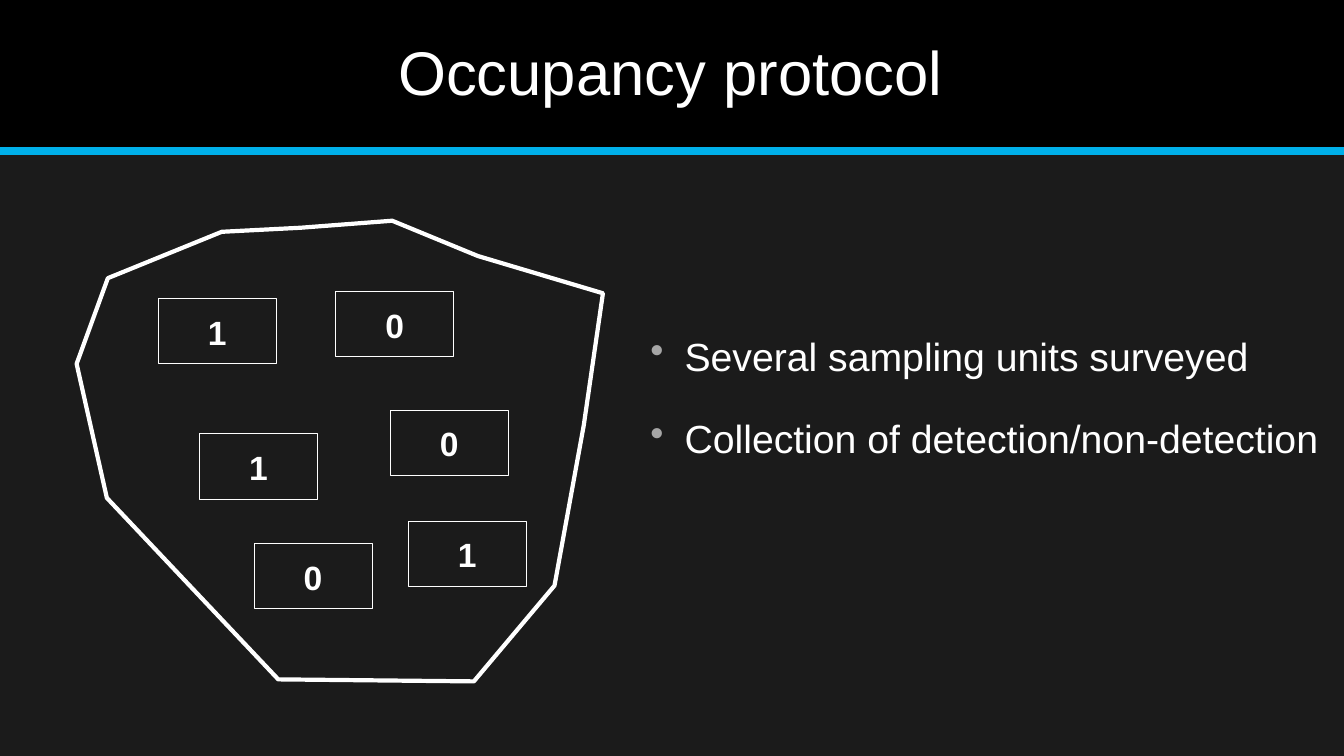
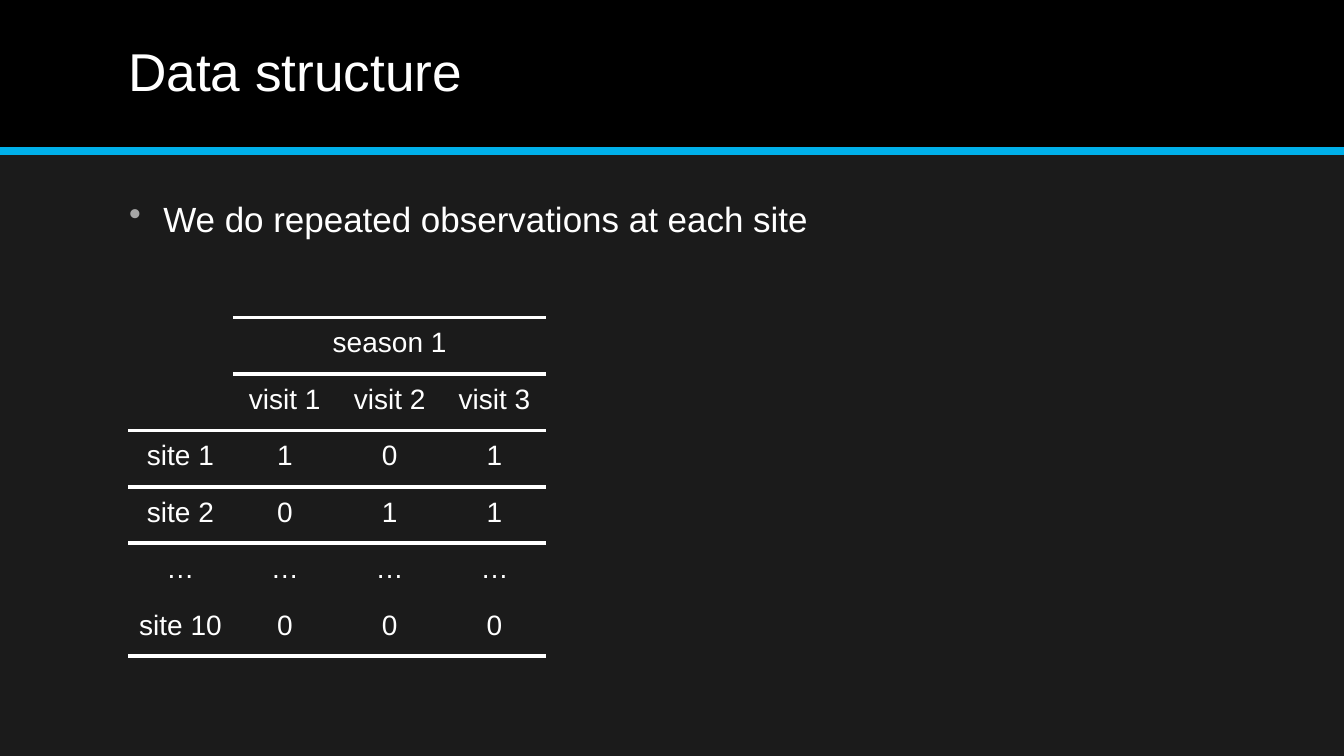
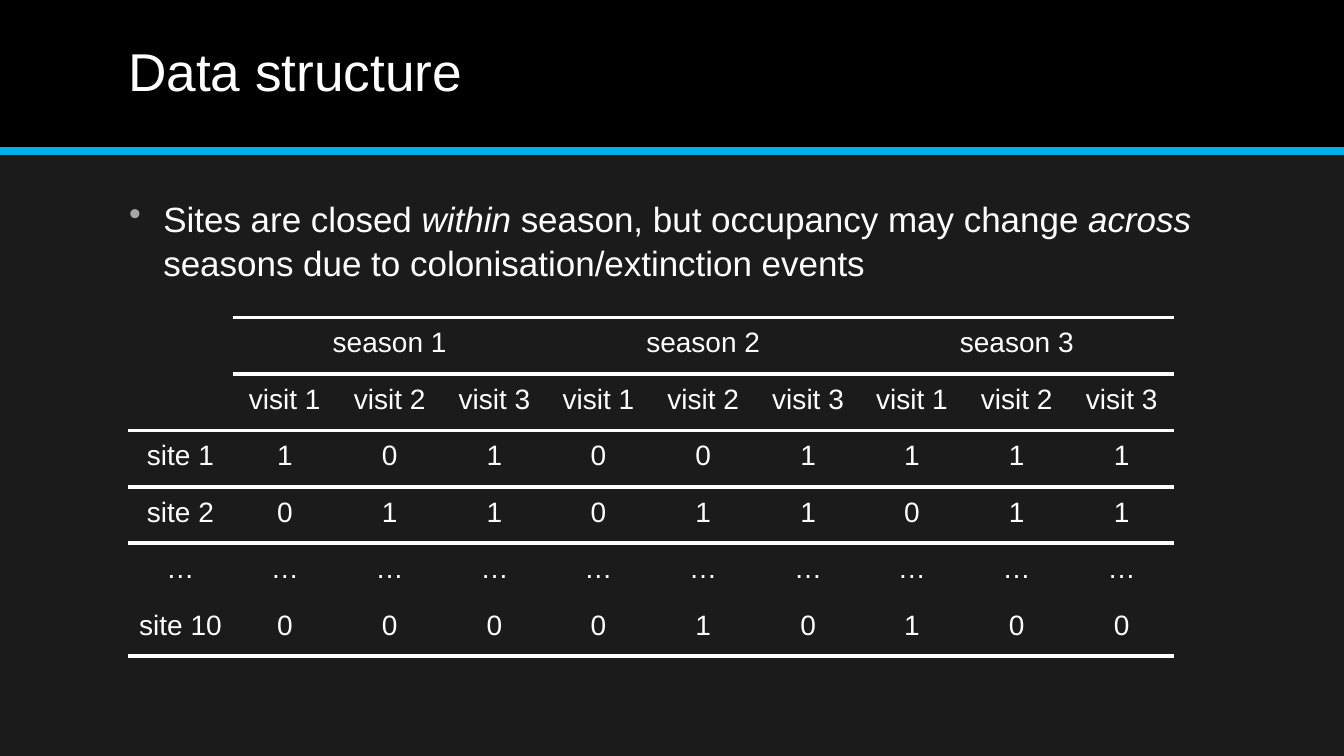
import pptx
import pptx.dml.color
import pptx.enum.shapes
import pptx.enum.text
import pptx.oxml
import pptx.oxml.ns
import pptx.util
from pptx.util import Inches

DRAWING_NS = pptx.oxml.ns.nsdecls("a")
PLAIN_TABLE_STYLE = "{2D5ABB26-0587-4C30-8999-92F81FD0307C}"


def colour(hex_code):
    return pptx.dml.color.RGBColor.from_string(hex_code)


def element(markup):
    tag, rest = markup.split(" ", 1)
    return pptx.oxml.parse_xml(f"<{tag} {DRAWING_NS} {rest}")


class Deck:
    FONT = "Arial"
    PAPER = "1B1B1B"
    BAND = "000000"
    ACCENT = "00B0EA"
    INK = "FFFFFF"
    BULLET = "A6A6A6"
    WIDTH, HEIGHT = 13.33, 7.5

    def __init__(self):
        self.show = pptx.Presentation()
        self.show.slide_width = Inches(self.WIDTH)
        self.show.slide_height = Inches(self.HEIGHT)
        self.paint(self.show.slide_master.background, self.PAPER)
        self.slide = None

    def paint(self, target, hex_code):
        target.fill.solid()
        target.fill.fore_color.rgb = colour(hex_code)

    def stroke(self, target, hex_code, points):
        target.line.color.rgb = colour(hex_code)
        target.line.width = pptx.util.Pt(points)

    def new_slide(self, title, left, top, width, height, size):
        self.slide = self.show.slides.add_slide(self.show.slide_layouts[6])
        band = self.rectangle(0, 0, self.WIDTH, 1.46, self.BAND)
        band.line.fill.background()
        rule = self.slide.shapes.add_connector(
            pptx.enum.shapes.MSO_CONNECTOR.STRAIGHT,
            0, Inches(1.5), Inches(self.WIDTH), Inches(1.5))
        self.stroke(rule, self.ACCENT, 6)
        rule._element.spPr.append(element("a:effectLst />"))
        heading = self.text_box(left, top, width, height)
        heading.vertical_anchor = pptx.enum.text.MSO_ANCHOR.MIDDLE
        self.run(heading.paragraphs[0], title, size)

    def rectangle(self, left, top, width, height, fill):
        shape = self.slide.shapes.add_shape(
            pptx.enum.shapes.MSO_SHAPE.RECTANGLE,
            Inches(left), Inches(top), Inches(width), Inches(height))
        shape.shadow.inherit = False
        self.paint(shape, fill)
        return shape

    def margins(self, holder, top, left=0, right=0):
        holder.margin_left = Inches(left)
        holder.margin_right = Inches(right)
        holder.margin_top = Inches(top)
        holder.margin_bottom = 0

    def text_box(self, left, top, width, height):
        frame = self.slide.shapes.add_textbox(
            Inches(left), Inches(top), Inches(width), Inches(height)).text_frame
        frame.word_wrap = True
        self.margins(frame, 0.03)
        frame.paragraphs[0].space_before = pptx.util.Pt(1)
        return frame

    def run(self, paragraph, text, size, bold=False, italic=False):
        piece = paragraph.add_run()
        piece.text = text
        piece.font.name = self.FONT
        piece.font.size = pptx.util.Pt(size)
        piece.font.bold = bold
        piece.font.italic = italic
        piece.font.color.rgb = colour(self.INK)

    def bullet(self, left, top, width, height, size, pieces):
        paragraph = self.text_box(left, top, width, height).paragraphs[0]
        paragraph.line_spacing = 1.05
        properties = paragraph._p.get_or_add_pPr()
        properties.set("marL", str(Inches(0.35)))
        properties.set("indent", str(Inches(-0.34)))
        properties.append(element(
            f'a:buClr ><a:srgbClr val="{self.BULLET}"/></a:buClr>'))
        properties.append(element('a:buChar char="•"/>'))
        for text, italic in pieces:
            self.run(paragraph, text, size, italic=italic)

    def outline(self, corners):
        start, *others = [(Inches(x), Inches(y)) for x, y in corners]
        builder = self.slide.shapes.build_freeform(*start)
        builder.add_line_segments(others, close=True)
        region = builder.convert_to_shape()
        region.shadow.inherit = False
        region.fill.background()
        self.stroke(region, self.INK, 3)

    def sampling_unit(self, left, top, detection):
        unit = self.rectangle(left, top, 1.17, 0.65, self.PAPER)
        self.stroke(unit, self.INK, 0.5)
        frame = unit.text_frame
        frame.vertical_anchor = pptx.enum.text.MSO_ANCHOR.TOP
        self.margins(frame, 0.13)
        self.centred(frame.paragraphs[0], detection, 24, bold=True)

    def centred(self, paragraph, text, size, bold=False):
        paragraph.alignment = pptx.enum.text.PP_ALIGN.CENTER
        self.run(paragraph, text, size, bold)

    def border(self, cell, sides):
        properties = cell._tc.get_or_add_tcPr()
        for position, side in enumerate(sides):
            properties.insert(position, element(
                f'a:ln{side} w="{pptx.util.Pt(3)}"><a:solidFill>'
                f'<a:srgbClr val="{self.INK}"/></a:solidFill></a:ln{side}>'))

    def detection_table(self, seasons, histories):
        visits = 3
        widths = [1.04] + [0.93, 1.25, 0.93] * seasons
        rows = [[""], [""]]
        for season in range(1, seasons + 1):
            rows[0] += ["", f"season {season}", ""]
            rows[1] += [f"visit {visit}" for visit in range(1, visits + 1)]
        rows += [[site, *history[:visits * seasons]]
                 for site, history in histories]
        row_height = 0.56
        frame = self.slide.shapes.add_table(
            len(rows), len(widths), Inches(1.27), Inches(3.15),
            Inches(sum(widths)), Inches(row_height * len(rows)))
        table = frame.table
        table.first_row = table.horz_banding = False
        table._tbl.tblPr.find(
            pptx.oxml.ns.qn("a:tableStyleId")).text = PLAIN_TABLE_STYLE
        for column, width in zip(table.columns, widths):
            column.width = Inches(width)
        ruled = {0: "TB", 1: "TB", 2: "TB", 3: "T", len(rows) - 1: "B"}
        for r, row in enumerate(rows):
            table.rows[r].height = Inches(row_height)
            for c, text in enumerate(row):
                cell = table.cell(r, c)
                self.paint(cell, self.PAPER)
                first_visit = c % visits == 1
                last_visit = c > 0 and c % visits == 0
                self.margins(cell, 0.1, 0.1 * first_visit, 0.1 * last_visit)
                if text:
                    self.centred(cell.text_frame.paragraphs[0], text, 20)
                if c > 0 or r > 1:
                    self.border(cell, ruled.get(r, ""))
        table.cell(0, 0).merge(table.cell(1, 0))


def main():
    deck = Deck()

    deck.new_slide("Occupancy protocol", 3.95, 0.31, 5.5, 0.76, 44)
    deck.outline([
        (2.2, 2.3), (1.07, 2.76), (0.76, 3.61), (1.06, 4.94), (2.76, 6.74),
        (4.7, 6.76), (5.5, 5.81), (5.79, 4.22), (5.98, 2.91), (4.74, 2.54),
        (3.89, 2.19), (2.98, 2.26)])
    for left, top, detection in [
            (1.57, 2.96, "1"), (3.33, 2.89, "0"), (1.98, 4.3, "1"),
            (3.87, 4.07, "0"), (2.52, 5.39, "0"), (4.05, 5.17, "1")]:
        deck.sampling_unit(left, top, detection)
    for top, point in [(3.24, "Several sampling units surveyed"),
                       (4.06, "Collection of detection/non-detection")]:
        deck.bullet(6.44, top, 6.8, 0.49, 28, [(point, False)])

    histories = [
        ("site 1", "101001111"),
        ("site 2", "011011011"),
        ("…", "…" * 9),
        ("site 10", "000010100"),
    ]
    repeated = [("We do repeated observations at each site", False)]
    closure = [
        ("Sites are closed ", False), ("within ", True),
        ("season, but occupancy may change ", False), ("across ", True),
        ("seasons due to colonisation/extinction events", False)]
    for seasons, pieces, width, height in [
            (1, repeated, 6.77, 0.44), (3, closure, 10.7, 0.86)]:
        deck.new_slide("Data structure", 1.27, 0.35, 3.4, 0.66, 38)
        deck.bullet(1.27, 1.91, width, height, 25, pieces)
        deck.detection_table(seasons, histories)

    deck.show.save("out.pptx")


if __name__ == "__main__":
    main()
